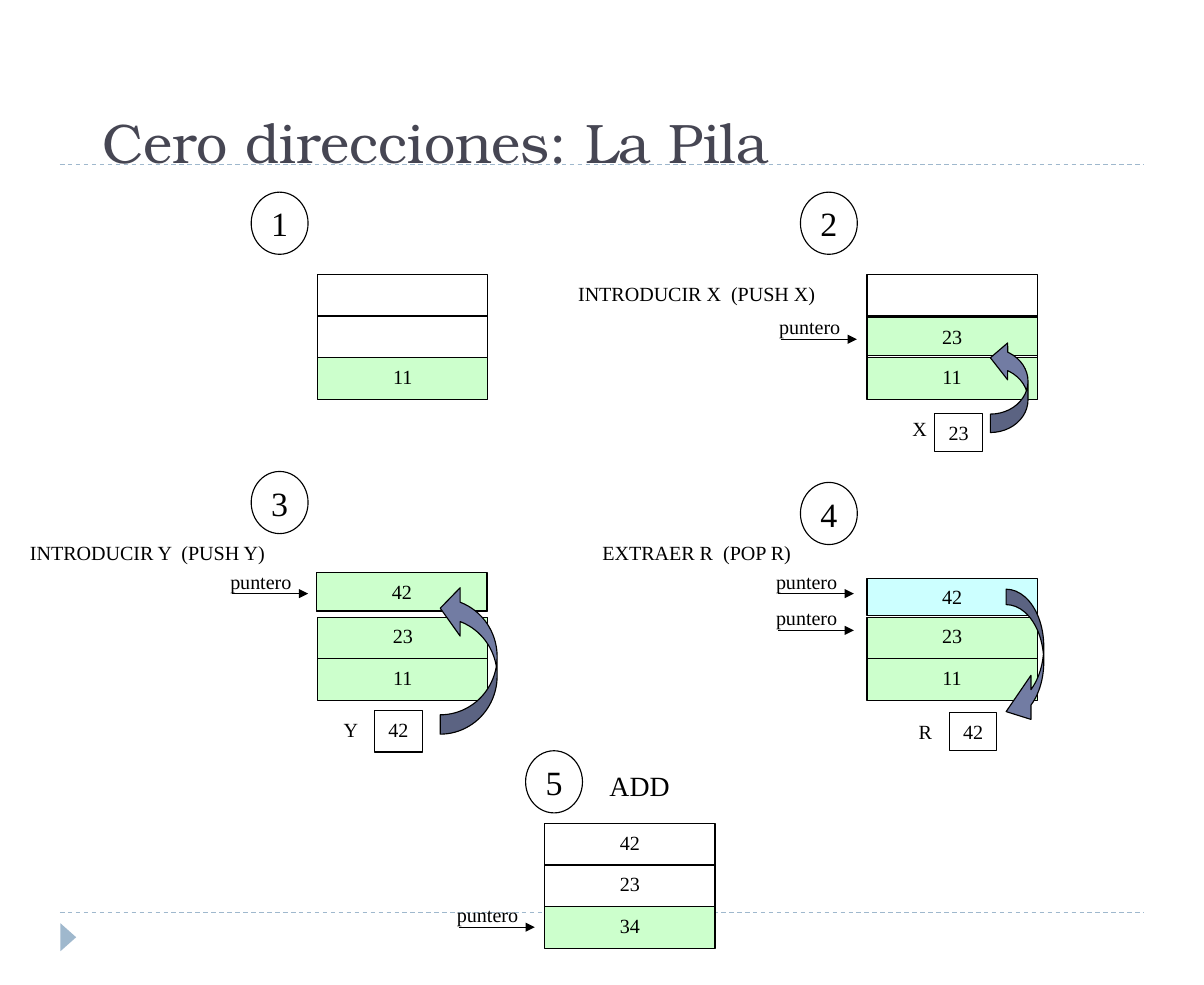
from dataclasses import dataclass
from typing import Optional

from lxml import etree
from pptx import Presentation
from pptx.dml.color import RGBColor
from pptx.enum.dml import MSO_LINE
from pptx.enum.shapes import MSO_CONNECTOR, MSO_SHAPE
from pptx.enum.text import MSO_ANCHOR, MSO_AUTO_SIZE, PP_ALIGN
from pptx.oxml.ns import qn
from pptx.util import Cm, Pt

RECTANGLE, OVAL = MSO_SHAPE.RECTANGLE, MSO_SHAPE.OVAL
TRIANGLE, CURVED_ARROW = MSO_SHAPE.ISOSCELES_TRIANGLE, MSO_SHAPE.CURVED_LEFT_ARROW
STRAIGHT, DASH = MSO_CONNECTOR.STRAIGHT, MSO_LINE.DASH
TOP, MIDDLE, BOTTOM = MSO_ANCHOR.TOP, MSO_ANCHOR.MIDDLE, MSO_ANCHOR.BOTTOM
LEFT, CENTER = PP_ALIGN.LEFT, PP_ALIGN.CENTER
FIXED_SIZE = MSO_AUTO_SIZE.NONE

BLACK = RGBColor(0x00, 0x00, 0x00)
WHITE = RGBColor(0xFF, 0xFF, 0xFF)
GREEN = RGBColor(0xCC, 0xFF, 0xCC)
CYAN = RGBColor(0xCC, 0xFF, 0xFF)
ARROW_BLUE = RGBColor(0x72, 0x7C, 0xA3)
RULE_BLUE = RGBColor(0x9F, 0xB8, 0xCD)
TITLE_GREY = RGBColor(0x46, 0x46, 0x53)

TITLE_FONT, BODY_FONT = "TeX Gyre Bonum", "Times New Roman"
CELL_WIDTH, CELL_HEIGHT, SHORT_HEIGHT = 3.89, 0.95, 0.86
OPERAND_WIDTH = 1.09
POINTER_WIDTH, POINTER_INDENT, POINTER_DROP = 2.16, 0.43, 0.71
OPERATION_WIDTH = 6.07


# All lengths below are in centimetres
@dataclass(frozen=True)
class Cell:
    text: str
    left: float
    top: float
    fill: Optional[RGBColor] = None
    width: float = CELL_WIDTH
    height: float = CELL_HEIGHT


@dataclass(frozen=True)
class Label:
    text: str
    left: float
    top: float
    width: float = OPERATION_WIDTH
    size: int = 13


@dataclass(frozen=True)
class Curve:
    left: float
    top: float
    width: float
    height: float
    adjustments: tuple[float, ...]
    downward: bool = False


@dataclass(frozen=True)
class Step:
    number: str
    badge: tuple[float, float]
    cells: list[Cell]
    labels: tuple[Label, ...] = ()
    pointers: tuple[tuple[float, float], ...] = ()
    curve: Optional[Curve] = None


def stack(left: float, top: float, *rows: tuple[str, RGBColor]) -> list[Cell]:
    return [Cell(text, left, top + index * CELL_HEIGHT, fill)
            for index, (text, fill) in enumerate(rows)]


def operand(text: str, left: float, top: float, height: float = SHORT_HEIGHT) -> Cell:
    return Cell(text, left, top, None, OPERAND_WIDTH, height)


EMPTY_ROW, ROW_11, ROW_23 = ("", WHITE), ("11", GREEN), ("23", GREEN)

STEPS = [
    Step("1", (5.74, 4.39), stack(7.26, 6.27, EMPTY_ROW, EMPTY_ROW, ROW_11)),
    Step("2", (18.29, 4.39),
         stack(19.81, 6.27, EMPTY_ROW, EMPTY_ROW, ROW_11)
         + [Cell("23", 19.81, 7.26, GREEN, height=SHORT_HEIGHT), operand("23", 21.36, 9.45)],
         (Label("INTRODUCIR X  (PUSH X)", 12.88, 6.27),
          Label("X", 20.47, 9.37, OPERAND_WIDTH)),
         ((17.42, 7.04),),
         Curve(22.63, 7.75, 0.86, 2.13, (0.49, 0.98, 0.46))),
    Step("3", (5.74, 10.77),
         stack(7.26, 14.1, ROW_23, ROW_11)
         + [Cell("", 7.24, 13.11, height=SHORT_HEIGHT),
            Cell("42", 7.24, 13.08, GREEN, height=SHORT_HEIGHT),
            operand("42", 8.56, 16.23, CELL_HEIGHT)],
         (Label("INTRODUCIR Y  (PUSH Y)", 0.33, 12.19),
          Label("Y", 7.47, 16.23, OPERAND_WIDTH)),
         ((4.88, 12.85),),
         Curve(10.06, 13.34, 1.3, 3.43, (0.34, 0.85, 0.35))),
    Step("4", (18.29, 11.02),
         [Cell("42", 19.81, 13.21, CYAN, height=SHORT_HEIGHT)]
         + stack(19.81, 14.1, ROW_23, ROW_11) + [operand("42", 21.69, 16.28)],
         (Label("EXTRAER R  (POP R)", 12.88, 12.19),
          Label("R", 20.6, 16.28, OPERAND_WIDTH)),
         ((17.35, 12.85), (17.35, 13.69)),
         Curve(22.99, 13.46, 0.86, 3.3, (0.41, 1.17, 0.66), downward=True)),
    Step("5", (12.01, 17.15),
         stack(12.45, 18.81, ("42", WHITE), ("23", WHITE), ("34", GREEN)),
         (Label("ADD", 11.58, 17.4, size=18),),
         ((10.06, 20.47),)),
]


def write(shape, text: str, size: int, font: str = BODY_FONT, color: RGBColor = BLACK,
          align=CENTER, anchor=TOP, insets: tuple[float, float] = (0.28, 0.15)) -> None:
    frame = shape.text_frame
    frame.text = text
    frame.word_wrap = True
    frame.auto_size = FIXED_SIZE
    frame.vertical_anchor = anchor
    frame.margin_left = frame.margin_right = Cm(insets[0])
    frame.margin_top = frame.margin_bottom = Cm(insets[1])
    paragraph = frame.paragraphs[0]
    paragraph.alignment = align
    for span in paragraph.runs:
        span.font.name, span.font.size = font, Pt(size)
        span.font.color.rgb = color


def add_box(page, kind, left: float, top: float, width: float, height: float,
            fill: Optional[RGBColor] = None, outlined: bool = True):
    box = page.shapes.add_shape(kind, Cm(left), Cm(top), Cm(width), Cm(height))
    box.shadow.inherit = False
    if fill is None:
        box.fill.background()
    else:
        box.fill.solid()
        box.fill.fore_color.rgb = fill
    if outlined:
        box.line.color.rgb = BLACK
        box.line.width = Pt(0.75)
    else:
        box.line.fill.background()
    return box


def add_line(page, left: float, right: float, height: float, color: RGBColor):
    line = page.shapes.add_connector(STRAIGHT, Cm(left), Cm(height), Cm(right), Cm(height))
    line.line.color.rgb = color
    line.line.width = Pt(0.75)
    etree.SubElement(line._element.spPr, qn("a:effectLst"))
    return line


def add_label(page, label: Label) -> None:
    box = page.shapes.add_textbox(Cm(label.left), Cm(label.top), Cm(label.width), Cm(0.94))
    write(box, label.text, label.size)


def add_pointer(page, left: float, top: float) -> None:
    line = add_line(page, left + POINTER_INDENT, left + POINTER_WIDTH, top + POINTER_DROP, BLACK)
    etree.SubElement(line.line._get_or_add_ln(), qn("a:tailEnd"), type="triangle")
    add_label(page, Label("puntero", left, top, POINTER_WIDTH))


def add_curve(page, curve: Curve) -> None:
    arrow = add_box(page, CURVED_ARROW, curve.left, curve.top, curve.width, curve.height, ARROW_BLUE)
    for index, value in enumerate(curve.adjustments):
        arrow.adjustments[index] = value
    arrow.rotation = 180
    frame = arrow._element.spPr.find(qn("a:xfrm"))
    frame.set("flipH", "1")
    if curve.downward:
        frame.set("flipV", "1")


def add_step(page, step: Step) -> None:
    for cell in step.cells:
        box = add_box(page, RECTANGLE, cell.left, cell.top, cell.width, cell.height, cell.fill)
        write(box, cell.text, 13)
    badge = add_box(page, OVAL, *step.badge, 1.3, 1.42)
    write(badge, step.number, 22, anchor=MIDDLE, insets=(0, 0))
    for label in step.labels:
        add_label(page, label)
    for left, top in step.pointers:
        add_pointer(page, left, top)
    if step.curve:
        add_curve(page, step.curve)


def main() -> None:
    deck = Presentation()
    deck.slide_width, deck.slide_height = Cm(27.51), Cm(22.5)
    page = deck.slides.add_slide(deck.slide_layouts[5])

    # Page decoration
    for height in (20.85, 3.76):
        add_line(page, 1.37, 26.14, height, RULE_BLUE).line.dash_style = DASH
    add_box(page, TRIANGLE, 1.24, 21.23, 0.64, 0.36, RULE_BLUE, outlined=False).rotation = 90

    # Title, brought in front of the dashed rule
    title = page.shapes.title
    title.left, title.top, title.width, title.height = Cm(2.06), Cm(0.38), Cm(23.37), Cm(3.76)
    write(title, "Cero direcciones: La Pila", 36, TITLE_FONT, TITLE_GREY, LEFT, BOTTOM)
    page.shapes._spTree.append(title._element)

    # Stack steps
    for step in STEPS:
        add_step(page, step)

    deck.save("out.pptx")


if __name__ == "__main__":
    main()
